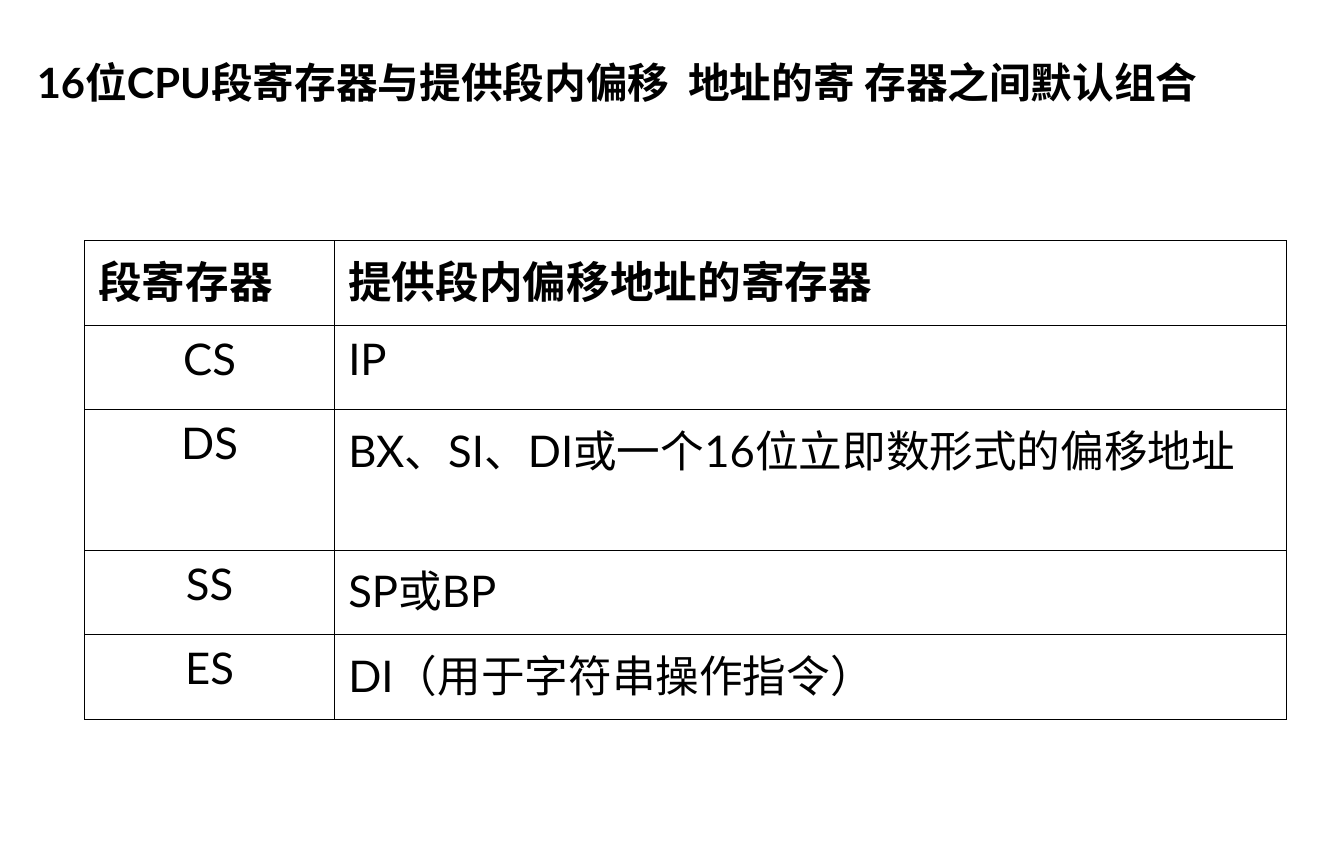
"""Build a slide on the default pairing of 16-bit CPU segment and offset registers."""
from dataclasses import dataclass

from lxml import etree
from pptx import Presentation
from pptx.dml.color import RGBColor
from pptx.enum import text as t
from pptx.oxml import ns
from pptx.util import Inches, Pt

FONT = "Lato"
BLACK = "000000"
TITLE = "16位CPU段寄存器与提供段内偏移  地址的寄 存器之间默认组合"
COLUMN_WIDTHS = (1.83, 6.97)


@dataclass(frozen=True)
class Pairing:
    segment: str
    offset: str
    height: float = 0.62
    heading: bool = False


PAIRINGS = (
    Pairing("段寄存器", "提供段内偏移地址的寄存器", heading=True),
    Pairing("CS", "IP"),
    Pairing("DS", "BX、SI、DI或一个16位立即数形式的偏移地址", height=0.85),
    Pairing("SS", "SP或BP"),
    Pairing("ES", "DI（用于字符串操作指令）"),
)


def color(value: str) -> RGBColor:
    return RGBColor.from_string(value)


def write(frame, wording: str, *, size: float, bold: bool = False,
          align=t.PP_ALIGN.LEFT) -> None:
    paragraph = frame.paragraphs[0]
    paragraph.alignment = align
    run = paragraph.add_run()
    run.text = wording
    run.font.name = FONT
    run.font.size = Pt(size)
    run.font.bold = bold
    run.font.color.rgb = color(BLACK)


def set_borders(cell, width: float) -> None:
    properties = cell._tc.get_or_add_tcPr()
    for index, side in enumerate(("lnL", "lnR", "lnT", "lnB")):
        line = etree.Element(ns.qn(f"a:{side}"), w=str(Pt(width)))
        fill = etree.SubElement(line, ns.qn("a:solidFill"))
        etree.SubElement(fill, ns.qn("a:srgbClr"), val=BLACK)
        properties.insert(index, line)


def add_title(slide) -> None:
    title = slide.shapes.add_textbox(
        Inches(0.12), Inches(0.37), Inches(9.37), Inches(0.46))
    frame = title.text_frame
    frame.word_wrap = True
    frame.margin_left = Inches(0.15)
    frame.margin_right = Inches(0.09)
    write(frame, TITLE, size=22, bold=True)


def add_pairings(slide) -> None:
    table = slide.shapes.add_table(
        len(PAIRINGS), len(COLUMN_WIDTHS), Inches(0.62), Inches(1.76),
        Inches(sum(COLUMN_WIDTHS)), Inches(sum(p.height for p in PAIRINGS))).table
    table.first_row = table.horz_banding = False
    for column, width in zip(table.columns, COLUMN_WIDTHS):
        column.width = Inches(width)
    for row, pairing in zip(table.rows, PAIRINGS):
        row.height = Inches(pairing.height)
        segment_align = t.PP_ALIGN.LEFT if pairing.heading else t.PP_ALIGN.CENTER
        contents = ((pairing.segment, segment_align),
                    (pairing.offset, t.PP_ALIGN.LEFT))
        for cell, (wording, align) in zip(row.cells, contents):
            cell.fill.background()
            set_borders(cell, 0.45)
            write(cell.text_frame, wording, size=23, bold=pairing.heading, align=align)


def main() -> None:
    deck = Presentation()
    deck.slide_width, deck.slide_height = Inches(9.84), Inches(6.25)
    slide = deck.slides.add_slide(deck.slide_layouts[6])
    add_pairings(slide)
    add_title(slide)
    deck.save("out.pptx")


if __name__ == "__main__":
    main()
